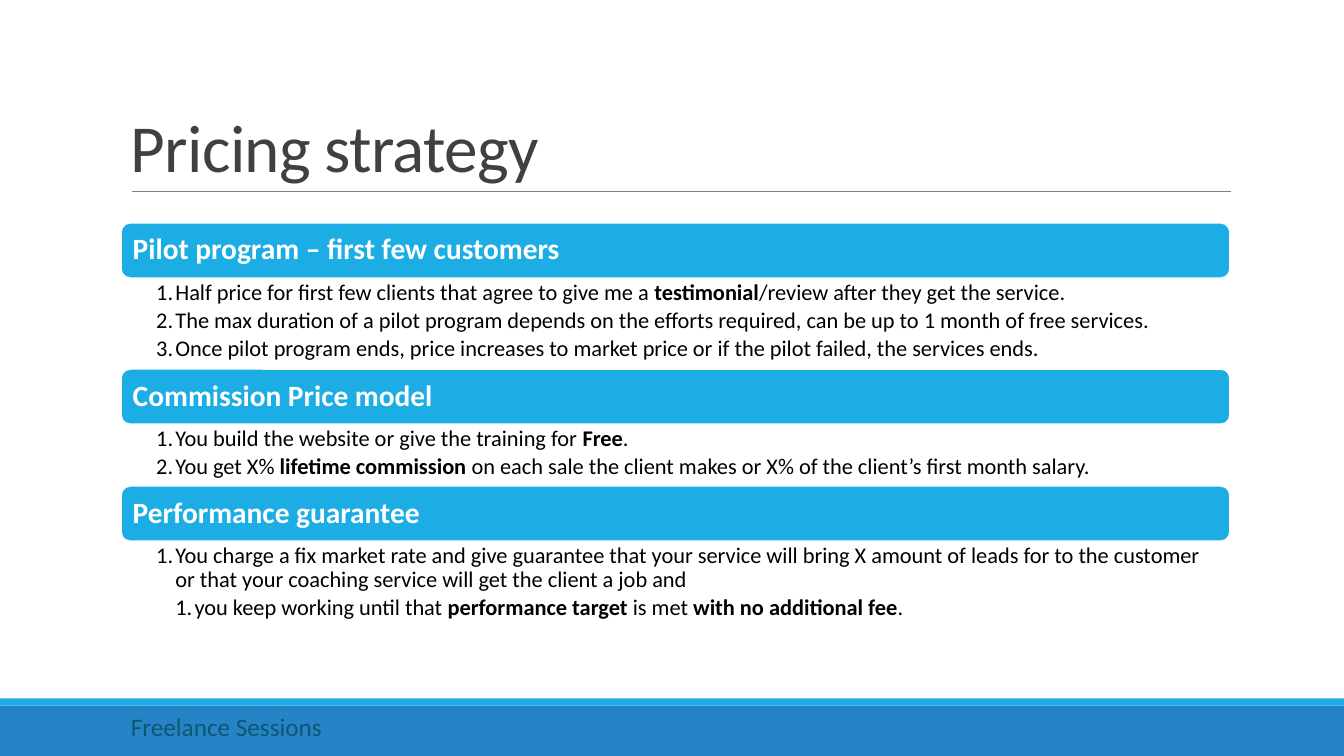
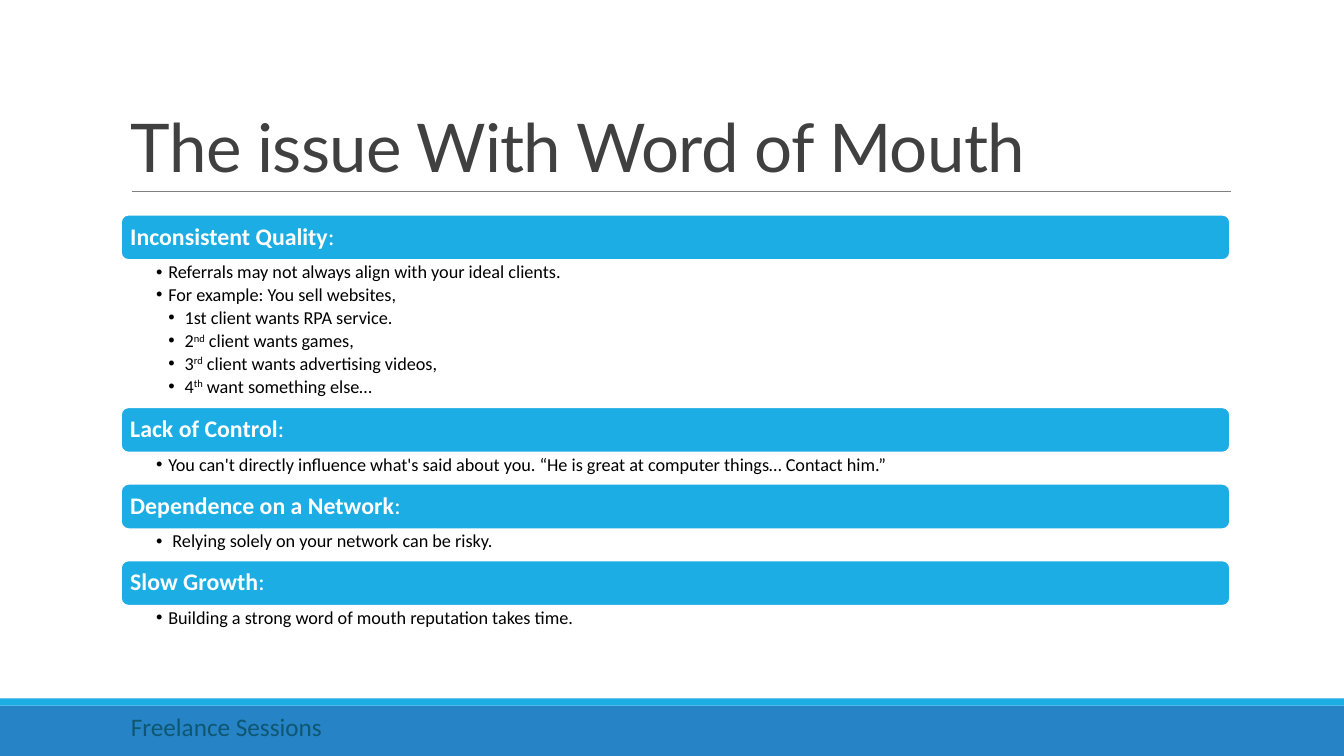
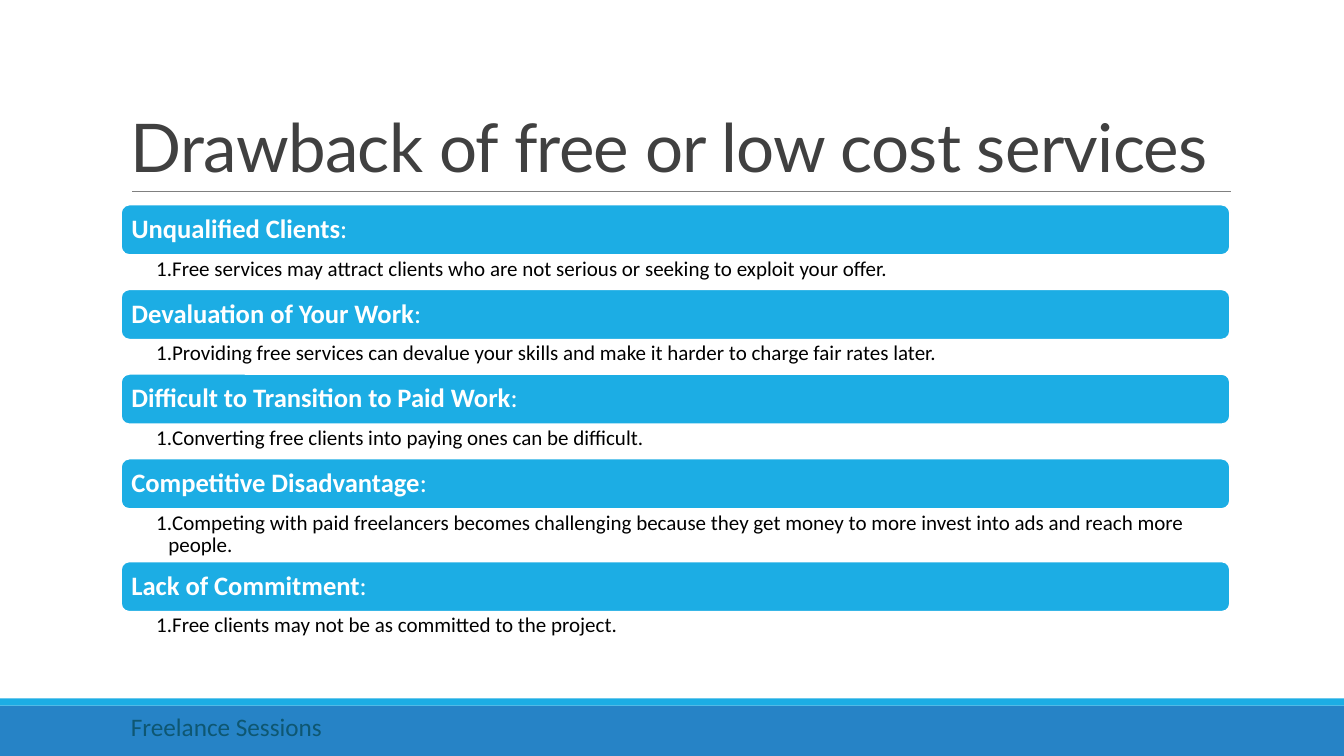
from pptx import Presentation
from pptx.dml.color import RGBColor
from pptx.enum import shapes, text
from pptx.oxml import ns
from pptx.util import Inches, Pt
from lxml import etree

COLORS = {
    "band": "2683C6", "accent": "1CADE4", "rule": "808080", "title": "404040",
    "white": "FFFFFF", "body": "000000", "footer": "0E5772",
}
LEFT, WIDTH = 1.2, 11

PRICING = [
    ("*Pilot program – first few customers*", 0.9, [
        (1, "Half price for first few clients that agree to give me a *testimonial*/review after they get the service."),
        (1, "The max duration of a pilot program depends on the efforts required, can be up to 1 month of free services."),
        (1, "Once pilot program ends, price increases to market price or if the pilot failed, the services ends."),
    ]),
    ("*Commission Price model*", 0.61, [
        (1, "You build the website or give the training for *Free*."),
        (1, "You get X% *lifetime commission* on each sale the client makes or X% of the client’s first month salary."),
    ]),
    ("*Performance guarantee*", 0.86, [
        (1, "You charge a fix market rate and give guarantee that your service will bring X amount of leads for to the "
            "customer or that your coaching service will get the client a job and"),
        (2, "you keep working until that *performance target* is met *with no additional fee*."),
    ]),
]
WORD_OF_MOUTH = [
    ("*Inconsistent Quality*:", 1.46, [
        (1, "Referrals may not always align with your ideal clients."),
        (1, "For example: You sell websites,"),
        (2, " 1st client wants RPA service."),
        (2, " 2^nd^ client wants games,"),
        (2, " 3^rd^ client wants advertising videos,"),
        (2, " 4^th^ want something else…"),
    ]),
    ("*Lack of Control*:", 0.31, [
        (1, "You can't directly influence what's said about you. “He is great at computer things… Contact him.”"),
    ]),
    ("*Dependence on a Network*:", 0.31, [(1, " Relying solely on your network can be risky.")]),
    ("*Slow Growth*:", 0.31, [(1, "Building a strong word of mouth reputation takes time.")]),
]
DRAWBACKS = [
    ("*Unqualified Clients*:", 0.34, [
        (1, "Free services may attract clients who are not serious or seeking to exploit your offer."),
    ]),
    ("*Devaluation of Your Work*:", 0.34, [
        (1, "Providing free services can devalue your skills and make it harder to charge fair rates later."),
    ]),
    ("*Difficult to Transition to Paid Work*:", 0.34, [
        (1, "Converting free clients into paying ones can be difficult."),
    ]),
    ("*Competitive Disadvantage*:", 0.52, [
        (1, "Competing with paid freelancers becomes challenging because they get money to more invest into ads "
            "and reach more people."),
    ]),
    ("*Lack of Commitment*:", 0.34, [(1, "Free clients may not be as committed to the project.")]),
]


def rgb(name):
    return RGBColor.from_string(COLORS[name])


def write(p, content, size, color, font="Calibri", line=None, after=0, spacing=0):
    p.alignment = text.PP_ALIGN.LEFT
    p.line_spacing = line
    p.space_after = Pt(after)
    for i, part in enumerate(content.split("*")):
        for j, piece in enumerate(part.split("^")):
            if not piece:
                continue
            r = p.add_run()
            r.text = piece
            r.font.name = font
            r.font.size = Pt(size)
            r.font.bold = i % 2 == 1
            r.font.color.rgb = rgb(color)
            rpr = r._r.get_or_add_rPr()
            if spacing:
                rpr.set("spc", str(spacing))
            if j % 2:
                rpr.set("baseline", "30000")


def set_frame(tf, insets=(0.1, 0.05, 0.1, 0.05), anchor=text.MSO_ANCHOR.TOP):
    tf.word_wrap = True
    tf.vertical_anchor = anchor
    tf.margin_left, tf.margin_top, tf.margin_right, tf.margin_bottom = map(Inches, insets)
    return tf


def add_textbox(s, x, y, w, h, **frame):
    sp = s.shapes.add_textbox(Inches(x), Inches(y), Inches(w), Inches(h))
    return set_frame(sp.text_frame, **frame)


def add_box(s, kind, x, y, w, h, fill, line=None):
    sp = s.shapes.add_shape(kind, Inches(x), Inches(y), Inches(w), Inches(h))
    sp.shadow.inherit = False
    sp.fill.solid()
    sp.fill.fore_color.rgb = rgb(fill)
    if line:
        sp.line.color.rgb = rgb(line)
        sp.line.width = Pt(1.25)
    else:
        sp.line.fill.background()
    return sp


def add_rule(s, x1, x2, y):
    c = s.shapes.add_connector(shapes.MSO_CONNECTOR.STRAIGHT, Inches(x1), Inches(y), Inches(x2), Inches(y))
    c.line.color.rgb = rgb("rule")
    c.line.width = Pt(0.5)
    etree.SubElement(c._element.spPr, ns.qn("a:effectLst"))


def set_bullet(p, level, indent, numbered):
    p.level = level
    ppr = p._p.get_or_add_pPr()
    ppr.set("marL", str(Inches(indent * level)))
    ppr.set("indent", str(-Inches(indent)))
    if numbered:
        etree.SubElement(ppr, ns.qn("a:buFont"), typeface="+mj-lt")
        etree.SubElement(ppr, ns.qn("a:buAutoNum"), type="arabicPeriod")
    else:
        etree.SubElement(ppr, ns.qn("a:buFont"), typeface="Arial")
        etree.SubElement(ppr, ns.qn("a:buChar"), char="•")


def add_section(s, y, bar_h, heading, body_h, items, head_size, body_size, pad, indent, numbered):
    bar = add_box(s, shapes.MSO_SHAPE.ROUNDED_RECTANGLE, LEFT, y, WIDTH, bar_h, "accent", "white")
    tf = set_frame(bar.text_frame, (pad,) * 4, text.MSO_ANCHOR.MIDDLE)
    write(tf.paragraphs[0], heading, head_size, "white", line=0.9)
    tf = add_textbox(s, LEFT, y + bar_h, WIDTH, body_h, insets=(0.35, 0.03, 0.15, 0.03))
    for i, (level, content) in enumerate(items):
        p = tf.add_paragraph() if i else tf.paragraphs[0]
        write(p, content, body_size, "body", line=0.9, after=round(0.18 * body_size, 1))
        set_bullet(p, level, indent, numbered)


def add_slide(prs, title, font, sections, top, bar_h, **style):
    s = prs.slides.add_slide(prs.slide_layouts[6])
    add_box(s, shapes.MSO_SHAPE.RECTANGLE, 0, 7, 13.33, 0.5, "band")
    add_box(s, shapes.MSO_SHAPE.RECTANGLE, 0, 6.93, 13.33, 0.07, "accent")
    add_rule(s, 1.31, 12.21, 1.9)
    tf = add_textbox(s, LEFT, 0.31, WIDTH, 1.59, anchor=text.MSO_ANCHOR.BOTTOM)
    write(tf.paragraphs[0], title, 48, "title", font=font, line=0.85, spacing=-50)
    y = top
    for heading, body_h, items in sections:
        add_section(s, y, bar_h, heading, body_h, items, **style)
        y += bar_h + body_h
    tf = add_textbox(s, LEFT, 7.01, 7.78, 0.4)
    write(tf.paragraphs[0], "Freelance Sessions", 18, "footer")


def main():
    prs = Presentation()
    prs.slide_width, prs.slide_height = Inches(13.33), Inches(7.5)
    add_slide(prs, "Pricing strategy", "Calibri", PRICING, 2.21, 0.55,
              head_size=21, body_size=16, pad=0.09, indent=0.19, numbered=True)
    add_slide(prs, "The issue With Word of Mouth", "Lato", WORD_OF_MOUTH, 2.13, 0.45,
              head_size=17, body_size=13, pad=0.07, indent=0.12, numbered=False)
    add_slide(prs, "Drawback of free or low cost services", "Lato", DRAWBACKS, 2.03, 0.5,
              head_size=19, body_size=15, pad=0.08, indent=0.12, numbered=True)
    prs.save("out.pptx")


main()
